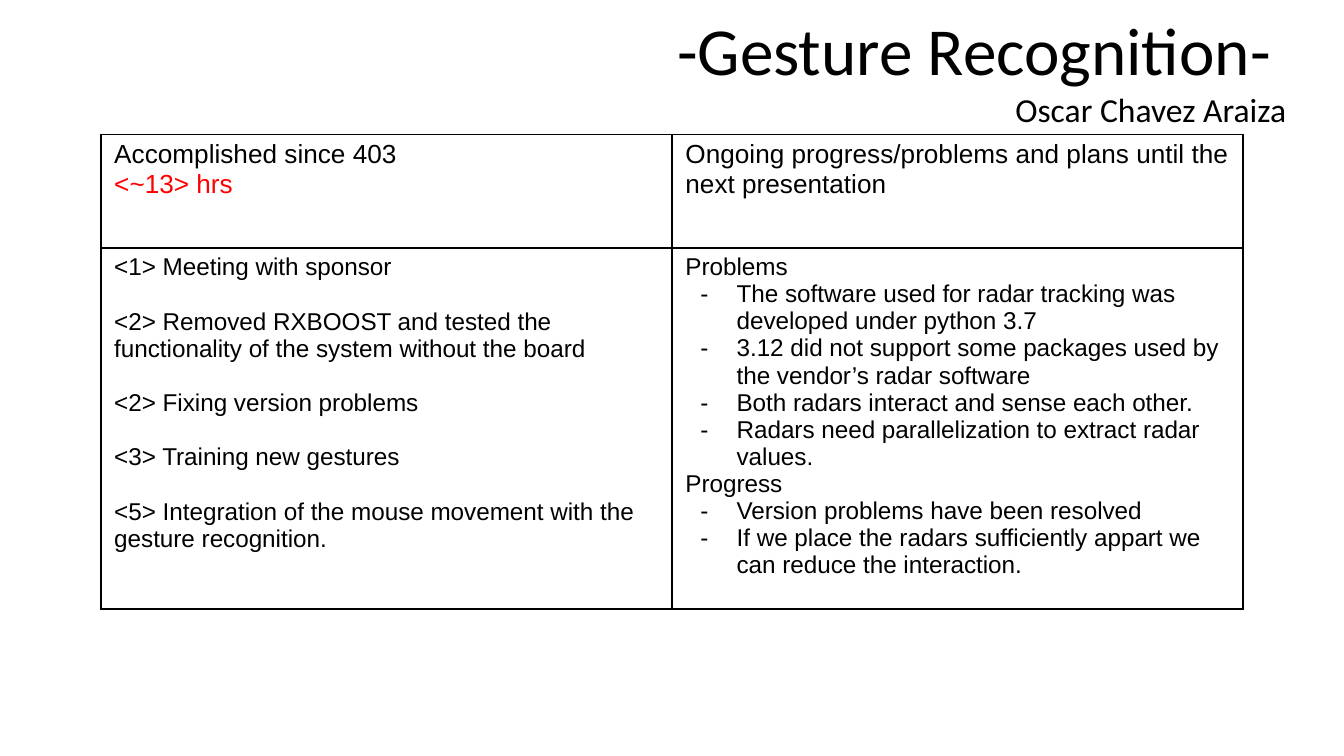
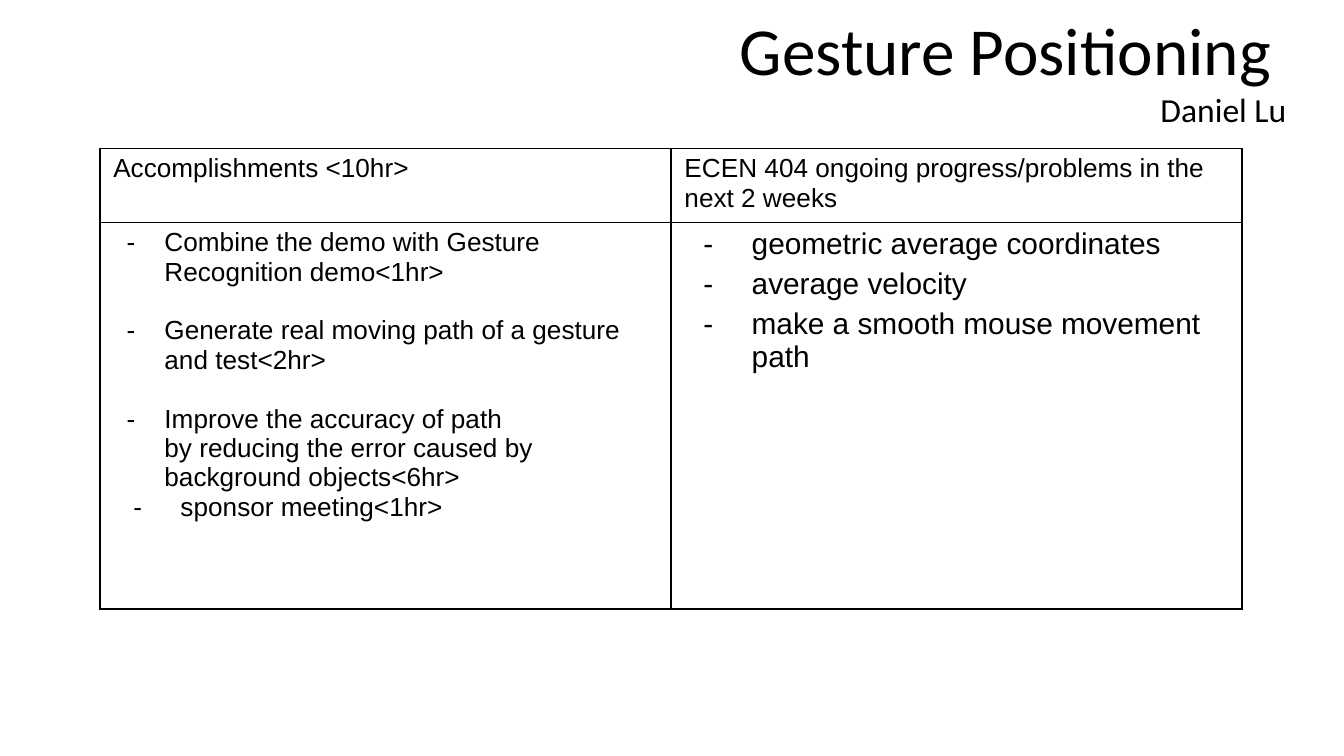
from dataclasses import dataclass

from lxml import etree
from pptx import Presentation
from pptx.dml.color import RGBColor
from pptx.enum import text
from pptx.oxml import ns
from pptx.util import Pt

BLACK = "000000"
RED = "FF0000"
TITLE_FONT = "Calibri"
BODY_FONT = "Arial"


@dataclass(frozen=True)
class Line:
    words: str
    size: float = 14
    color: str = BLACK
    indent: float = 0
    hanging: float = 0
    before: float = 0


@dataclass(frozen=True)
class Report:
    topic: str
    member: str
    left: float
    top: float
    row_heights: tuple[float, float]
    headings: tuple[list[Line], list[Line]]
    details: tuple[list[Line], list[Line]]


def rgb(value: str) -> RGBColor:
    return RGBColor.from_string(value)


def child(parent, tag: str, **attributes: str):
    return etree.SubElement(parent, ns.qn(tag), attributes)


def add_run(paragraph, words: str, font: str, size: float, color: str) -> None:
    run = paragraph.add_run()
    run.text = words
    run.font.name = font
    run.font.size = Pt(size)
    run.font.color.rgb = rgb(color)


def set_dash(paragraph, line: Line) -> None:
    properties = paragraph._p.get_or_add_pPr()
    properties.set("marL", str(Pt(line.indent)))
    properties.set("indent", str(Pt(-line.hanging)))
    if line.hanging:
        child(child(properties, "a:buClr"), "a:srgbClr", val=line.color)
        child(properties, "a:buFont", typeface=BODY_FONT)
        child(properties, "a:buChar", char="-")
    else:
        child(properties, "a:buNone")


def set_borders(cell) -> None:
    properties = cell._tc.get_or_add_tcPr()
    for side in ("a:lnL", "a:lnR", "a:lnT", "a:lnB"):
        border = child(properties, side, w=str(Pt(1)))
        child(child(border, "a:solidFill"), "a:srgbClr", val=BLACK)


def fill_cell(cell, lines: list[Line]) -> None:
    cell.margin_left = cell.margin_right = Pt(7.2)
    cell.margin_top = cell.margin_bottom = Pt(3)
    set_borders(cell)
    cell.fill.background()
    for index, line in enumerate(lines):
        frame = cell.text_frame
        paragraph = frame.add_paragraph() if index else frame.paragraphs[0]
        set_dash(paragraph, line)
        paragraph.space_before = Pt(line.before)
        add_run(paragraph, line.words, BODY_FONT, line.size, line.color)


def add_heading(slide, report: Report) -> None:
    frame = slide.shapes.add_textbox(Pt(174.2), Pt(0.7), Pt(522), Pt(72.7)).text_frame
    frame.word_wrap = True
    frame.auto_size = text.MSO_AUTO_SIZE.SHAPE_TO_FIT_TEXT
    topic, member = frame.paragraphs[0], frame.add_paragraph()
    topic.alignment = member.alignment = text.PP_ALIGN.RIGHT
    add_run(topic, report.topic + " ", TITLE_FONT, 36, BLACK)
    add_run(member, report.member, TITLE_FONT, 18, BLACK)


def add_progress(slide, report: Report) -> None:
    table = slide.shapes.add_table(
        2, 2, Pt(report.left), Pt(report.top), Pt(612), Pt(sum(report.row_heights))
    ).table
    table.first_row = table.horz_banding = False
    for column in table.columns:
        column.width = Pt(306)
    for row, height, cells in zip(
        table.rows, report.row_heights, (report.headings, report.details)
    ):
        row.height = Pt(height)
        for cell, lines in zip(row.cells, cells):
            fill_cell(cell, lines)


def task(words: str, before: float = 14.6) -> Line:
    return Line(words, 13, before=before)


def issue(words: str) -> Line:
    return Line(words, 13, indent=27.4, hanging=19.4)


def result(words: str, before: float = 15.8) -> Line:
    return Line(words, indent=27.4, hanging=20.2, before=before)


def plan(words: str, before: float = 3.6) -> Line:
    return Line(words, 16, indent=36, hanging=25.9, before=before)


REPORTS = [
    Report(
        "-Gesture Recognition-", "Oscar Chavez Araiza", 54, 72, (61, 193),
        (
            [Line("Accomplished since 403"), Line("<~13> hrs", color=RED)],
            [Line("Ongoing progress/problems and plans until the next presentation")],
        ),
        (
            [
                task("<1> Meeting with sponsor", before=0),
                task("<2> Removed RXBOOST and tested the functionality of the "
                     "system without the board"),
                task("<2> Fixing version problems"),
                task("<3> Training new gestures"),
                task("<5> Integration of the mouse movement with the gesture "
                     "recognition."),
            ],
            [
                Line("Problems", 13),
                issue("The software used for radar tracking was developed under "
                      "python 3.7"),
                issue("3.12 did not support some packages used by the vendor’s "
                      "radar software"),
                issue("Both radars interact and sense each other."),
                issue("Radars need parallelization to extract radar values."),
                Line("Progress", 13),
                issue("Version problems have been resolved"),
                issue("If we place the radars sufficiently appart we can reduce "
                      "the interaction."),
            ],
        ),
    ),
    Report(
        "Gesture Positioning", "Daniel Lu", 53.5, 79.5, (39, 207.3),
        (
            [Line("Accomplishments <10hr>")],
            [Line("ECEN 404 ongoing progress/problems in the next 2 weeks")],
        ),
        (
            [
                result("Combine the demo with Gesture Recognition demo<1hr>", before=0),
                result("Generate real moving path of a gesture and test<2hr>"),
                result("Improve the accuracy of path"),
                Line("by reducing the error caused by background objects<6hr>",
                     indent=27.4),
                Line("sponsor meeting<1hr>", indent=36, hanging=25.2),
            ],
            [
                plan("geometric average coordinates", before=0),
                plan("average velocity"),
                plan("make a smooth mouse movement path"),
            ],
        ),
    ),
]


def main() -> None:
    deck = Presentation()
    deck.slide_width, deck.slide_height = Pt(720), Pt(405)
    for report in REPORTS:
        slide = deck.slides.add_slide(deck.slide_layouts[6])
        add_heading(slide, report)
        add_progress(slide, report)
    deck.save("out.pptx")


if __name__ == "__main__":
    main()
